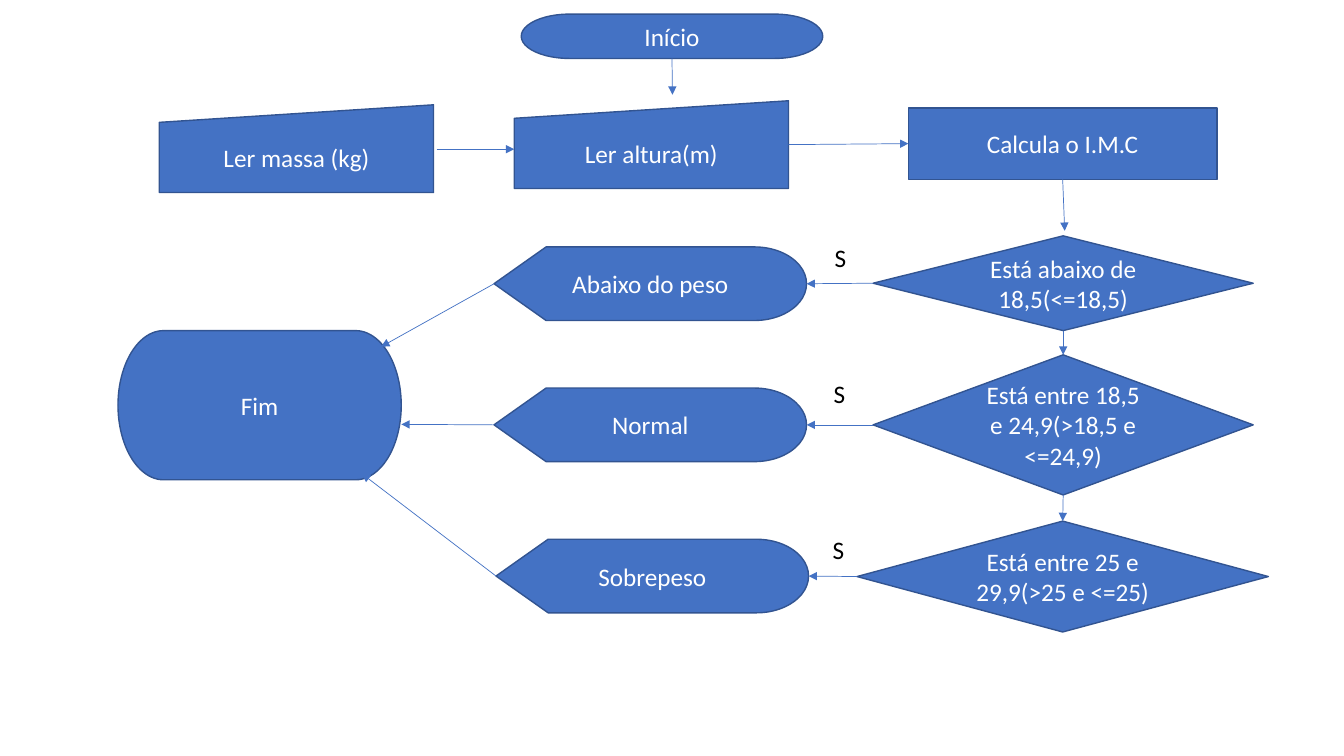
from lxml import etree
from pptx import Presentation
from pptx.dml.color import RGBColor
from pptx.enum.shapes import MSO_CONNECTOR, MSO_SHAPE as Shape
from pptx.enum.text import MSO_ANCHOR, MSO_AUTO_SIZE, PP_ALIGN
from pptx.oxml.ns import qn
from pptx.util import Emu, Pt

# Content: name -> (shape, text, left, top, width, height), 100 px to the inch
STEPS = {
    "start": (Shape.FLOWCHART_TERMINATOR, "Início", 517, 14, 299, 44),
    "mass": (Shape.FLOWCHART_MANUAL_INPUT, "Ler massa (kg)", 158, 104, 272, 87),
    "height": (Shape.FLOWCHART_MANUAL_INPUT, "Ler altura(m)", 510, 100, 272, 87),
    "bmi": (Shape.FLOWCHART_PROCESS, "Calcula o I.M.C", 901, 107, 306, 71),
    "is_under": (Shape.FLOWCHART_DECISION, "Está abaixo de 18,5(<=18,5)", 866, 234, 377, 94),
    "is_normal": (Shape.FLOWCHART_DECISION, "Está entre 18,5 e 24,9(>18,5 e <=24,9)", 866, 352, 377, 139),
    "is_over": (Shape.FLOWCHART_DECISION, "Está entre 25 e 29,9(>25 e <=25)", 850, 517, 408, 110),
    "under": (Shape.FLOWCHART_DISPLAY, "Abaixo do peso", 490, 245, 310, 73),
    "normal": (Shape.FLOWCHART_DISPLAY, "Normal", 490, 385, 310, 73),
    "over": (Shape.FLOWCHART_DISPLAY, "Sobrepeso", 492, 535, 310, 73),
    "end": (Shape.FLOWCHART_TERMINATOR, "Fim", 117, 328, 281, 148),
}
YES_LABELS = [(818, 235), (817, 370), (816, 525)]

# Each arrow end is either (step, side) or a free point (x, y)
TOP, LEFT, BOTTOM, RIGHT = range(4)
ARROWS = [
    (("start", BOTTOM), (667, 94)),
    ((433, 148), (510, 148)),
    (("height", RIGHT), ("bmi", LEFT)),
    (("bmi", BOTTOM), (1056, 229)),
    (("is_under", BOTTOM), ("is_normal", TOP)),
    (("is_normal", BOTTOM), ("is_over", TOP)),
    (("is_under", LEFT), ("under", RIGHT)),
    (("is_normal", LEFT), ("normal", RIGHT)),
    (("is_over", LEFT), ("over", RIGHT)),
    (("under", LEFT), (378, 344)),
    (("normal", LEFT), (398, 421)),
    (("over", LEFT), (359, 470)),
]
BLUE, EDGE, WHITE, BLACK = "4472C4", "325491", "FFFFFF", "000000"
FONT = {"name": "Calibri", "size": Pt(18)}
STEP_FRAME = {"word_wrap": True, "vertical_anchor": MSO_ANCHOR.MIDDLE}
LABEL_FRAME = {"word_wrap": False, "auto_size": MSO_AUTO_SIZE.SHAPE_TO_FIT_TEXT}


def px(length):
    return Emu(length * 9144)


def color(value):
    return RGBColor.from_string(value)


def apply(target, values):
    for name, value in values.items():
        setattr(target, name, value)


def write(box, text, ink, align, frame_format):
    apply(box.text_frame, frame_format)
    para = box.text_frame.paragraphs[0]
    para.alignment = align
    span = para.add_run()
    span.text = text
    apply(span.font, FONT)
    span.font.color.rgb = color(ink)


def add_step(page, kind, text, *place):
    box = page.shapes.add_shape(kind, *map(px, place))
    box.shadow.inherit = False
    box.fill.solid()
    box.fill.fore_color.rgb = color(BLUE)
    box.line.color.rgb = color(EDGE)
    box.line.width = Pt(1)
    write(box, text, WHITE, PP_ALIGN.CENTER, STEP_FRAME)
    return box


def add_arrow(page, boxes, *ends):
    arrow = page.shapes.add_connector(MSO_CONNECTOR.STRAIGHT, *[
        px(value) for end in ends
        for value in ((0, 0) if end[0] in boxes else end)])
    for end, connect in zip(ends, (arrow.begin_connect, arrow.end_connect)):
        if end[0] in boxes:
            connect(boxes[end[0]], end[1])
    arrow.line.color.rgb = color(BLUE)
    arrow.line.width = Pt(0.5)
    # Arrowhead, and no shadow
    properties = arrow.line._get_or_add_ln()
    etree.SubElement(properties, qn("a:tailEnd"), type="triangle")
    etree.SubElement(properties.getparent(), qn("a:effectLst"))


def main():
    deck = Presentation()
    deck.slide_width, deck.slide_height = px(1333), px(750)
    page = deck.slides.add_slide(deck.slide_layouts[6])

    # Flowchart steps
    boxes = {name: add_step(page, *step) for name, step in STEPS.items()}

    # Labels of the yes branches
    for left, top in YES_LABELS:
        label = page.shapes.add_textbox(px(left), px(top), px(32), px(40))
        write(label, "S", BLACK, PP_ALIGN.LEFT, LABEL_FRAME)

    # Arrows
    for ends in ARROWS:
        add_arrow(page, boxes, *ends)

    deck.save("out.pptx")


if __name__ == "__main__":
    main()
